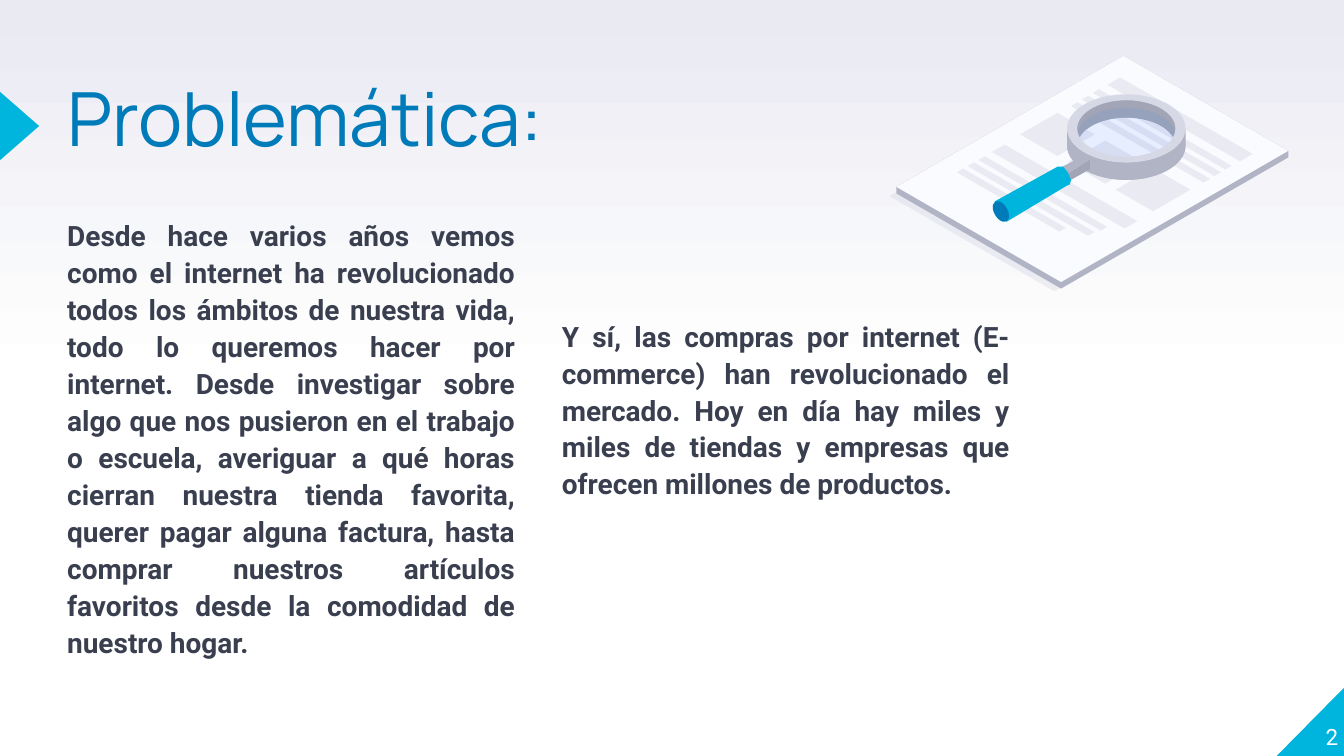
import math
from dataclasses import dataclass

from pptx import Presentation
from pptx.dml.color import RGBColor
from pptx.enum.shapes import MSO_SHAPE
from pptx.enum.text import MSO_ANCHOR, MSO_AUTO_SIZE, PP_ALIGN
from pptx.oxml import parse_xml
from pptx.oxml.ns import nsdecls, qn
from pptx.util import Pt

LEFT, RIGHT, JUSTIFY = PP_ALIGN.LEFT, PP_ALIGN.RIGHT, PP_ALIGN.JUSTIFY
TOP, BOTTOM = MSO_ANCHOR.TOP, MSO_ANCHOR.BOTTOM
OVAL, TRIANGLE, CORNER = MSO_SHAPE.OVAL, MSO_SHAPE.ISOSCELES_TRIANGLE, MSO_SHAPE.RIGHT_TRIANGLE
TITLE_ONLY = 5
ISOMETRIC_SLOPE = math.tan(math.radians(30))

Point = tuple[float, float]


@dataclass(frozen=True)
class Theme:
    title_font: str = "Manrope"
    body_font: str = "Roboto"
    title_size: float = 40
    body_size: float = 15
    number_size: float = 12
    accent: str = "00B5DD"
    deep_blue: str = "007BB9"
    ink: str = "3A3F50"
    white: str = "FFFFFF"
    mist: str = "E9EAF2"
    paper: str = "FAFBFF"
    silver: str = "D6D8E5"
    grey: str = "B1B4C4"
    dark_grey: str = "A1A5B5"
    lens: str = "3E7EFF"


@dataclass(frozen=True)
class Box:
    left: float
    top: float
    width: float
    height: float

    def lengths(self) -> tuple:
        return Pt(self.left), Pt(self.top), Pt(self.width), Pt(self.height)


@dataclass(frozen=True)
class TextStyle:
    font: str
    size: float
    color: str
    bold: bool = False
    alignment: int = LEFT
    anchor: int = TOP
    line_spacing: float = 1.0
    space_before: float = 0


@dataclass(frozen=True)
class Tile:
    """Isometric rectangle that starts at its left corner."""
    x: float
    y: float
    across: float
    along: float

    def corners(self) -> list[Point]:
        rise, drop = self.across * ISOMETRIC_SLOPE, self.along * ISOMETRIC_SLOPE
        return [(self.x, self.y), (self.x + self.across, self.y - rise),
                (self.x + self.across + self.along, self.y - rise + drop),
                (self.x + self.along, self.y + drop)]


THEME = Theme()


def paint(shape, color: str, opacity: int = 100) -> None:
    shape.shadow.inherit = False
    shape.line.fill.background()
    shape.fill.solid()
    shape.fill.fore_color.rgb = RGBColor.from_string(color)
    if opacity < 100:
        color_node = shape.element.spPr.find(".//" + qn("a:srgbClr"))
        color_node.append(parse_xml(f'<a:alpha {nsdecls("a")} val="{opacity * 1000}"/>'))


def add_preset(shapes, kind, box: Box, color: str, opacity: int = 100, rotation: float = 0):
    shape = shapes.add_shape(kind, *box.lengths())
    shape.rotation = rotation
    paint(shape, color, opacity)
    return shape


def add_outline(shapes, color: str, *contours: list[Point], opacity: int = 100) -> None:
    """Fill closed contours; a second contour cuts a hole."""
    scaled = [[(x * 100, y * 100) for x, y in contour] for contour in contours]
    builder = shapes.build_freeform(*scaled[0][0], scale=Pt(1) / 100)
    for index, contour in enumerate(scaled):
        if index:
            builder.move_to(*contour[0])
        builder.add_line_segments(contour[1:], close=True)
    paint(builder.convert_to_shape(), color, opacity)


def arc(center: Point, radii: Point, start: int, end: int) -> list[Point]:
    """Points on an ellipse; angles run clockwise from the right."""
    step = 6 if end > start else -6
    angles = [math.radians(angle) for angle in range(start, end + step, step)]
    return [(center[0] + radii[0] * math.cos(angle), center[1] + radii[1] * math.sin(angle))
            for angle in angles]


def write_text(shape, box: Box, text: str, style: TextStyle) -> None:
    shape.left, shape.top, shape.width, shape.height = box.lengths()
    frame = shape.text_frame
    frame.text = text
    frame.word_wrap = True
    frame.auto_size = MSO_AUTO_SIZE.NONE
    frame.vertical_anchor = style.anchor
    frame.margin_left = frame.margin_top = frame.margin_right = frame.margin_bottom = 0
    paragraph = frame.paragraphs[0]
    paragraph.alignment = style.alignment
    paragraph.line_spacing = style.line_spacing
    paragraph.space_before = Pt(style.space_before)
    font = paragraph.runs[0].font
    font.name, font.size, font.bold = style.font, Pt(style.size), style.bold
    font.color.rgb = RGBColor.from_string(style.color)


def add_text(shapes, box: Box, text: str, style: TextStyle) -> None:
    write_text(shapes.add_textbox(*box.lengths()), box, text, style)


def draw_document(shapes) -> None:
    # Shadow, paper edge and sheet
    sheet = Tile(480.2, 100.1, 121.7, 88.3)
    shadow = Tile(476.6, 105.1, sheet.across, sheet.along)
    add_outline(shapes, THEME.silver, shadow.corners(), opacity=40)
    left, top, right, bottom = sheet.corners()
    lowered = [(x, y + 3.5) for x, y in (right, bottom, left)]
    add_outline(shapes, THEME.grey, [left, top, right, *lowered])
    add_outline(shapes, THEME.paper, sheet.corners())

    # Headings, text lines and picture blocks
    tiles = [Tile(593.3, 45.4, 6.8, 71)]
    tiles += [Tile(585.4 - 5.8 * row, 49.8 + 3.5 * row, 3.4, 71) for row in range(3)]
    tiles.append(Tile(531.4, 81.4, 6.8, 71))
    tiles += [Tile(524.2 - 5.8 * row, 85.7 + 3.3 * row, 3.4, length)
              for row, length in enumerate((65.5, 64.5, 55))]
    tiles += [Tile(546.5 + 25.6 * column, 72 + 14.8 * column, 20, 20) for column in range(3)]
    for tile in tiles:
        add_outline(shapes, THEME.mist, tile.corners())


def draw_magnifier(shapes) -> None:
    # Ring, inner and outer walls, lens
    upper, lower = (603.4, 68.8), (603.4, 78.1)
    outer, middle, inner = (31.7, 18.3), (29, 16.7), (26.3, 15.1)

    def add_ring(center: Point, color: str) -> None:
        add_outline(shapes, color, arc(center, outer, 0, 354), arc(center, inner, 0, 354))

    add_ring(lower, THEME.grey)
    add_outline(shapes, THEME.dark_grey, arc(upper, middle, 180, 360) + arc(lower, inner, 360, 180))
    add_preset(shapes, OVAL, Box(577.1, 57.8, 52.6, 30.2), THEME.lens, opacity=10)
    add_outline(shapes, THEME.grey, arc(lower, outer, 0, 180) + arc(upper, outer, 180, 174)
                + arc(upper, middle, 174, 6) + arc(upper, outer, 6, 0))
    add_ring(upper, THEME.silver)

    # Neck, grip and end cap
    add_outline(shapes, THEME.grey, [(583.9, 85.7), (571, 93.6), (566.6, 90.7), (580.3, 83.5)])
    add_outline(shapes, THEME.dark_grey, [(583.9, 90.7), (571, 97.9), (571, 93.6), (583.9, 85.7)])
    add_outline(shapes, THEME.accent, [
        (566.6, 89.3), (569.5, 89.3), (572, 92.2), (573.8, 96.5), (573.1, 98.9), (571.7, 99.4),
        (539.3, 118.8), (532.8, 108)])
    add_preset(shapes, OVAL, Box(532.6, 107.2, 7.2, 12.2), THEME.deep_blue, rotation=330)


def main() -> None:
    presentation = Presentation()
    presentation.slide_width, presentation.slide_height = Pt(720), Pt(405)
    slide = presentation.slides.add_slide(presentation.slide_layouts[TITLE_ONLY])
    shapes = slide.shapes

    # Background fades to white at mid height
    background = slide.background.fill
    background.gradient()
    background.gradient_angle = 90
    for stop, position, color in zip(background.gradient_stops, (0.5, 1), (THEME.white, THEME.mist)):
        stop.position = position
        stop.color.rgb = RGBColor.from_string(color)

    # Corner and title marker
    corner = add_preset(shapes, CORNER, Box(684, 368, 36.5, 37), THEME.accent)
    corner.element.spPr.find(qn("a:xfrm")).set("flipH", "1")
    add_preset(shapes, TRIANGLE, Box(-7.9, 57, 36.7, 21), THEME.accent, rotation=90)

    # Title, two columns and page number
    title_style = TextStyle(THEME.title_font, THEME.title_size, THEME.deep_blue, line_spacing=0.8)
    body_style = TextStyle(THEME.body_font, THEME.body_size, THEME.ink, bold=True,
                           alignment=JUSTIFY, line_spacing=1.1, space_before=6)
    number_style = TextStyle(THEME.body_font, THEME.number_size, THEME.white,
                             alignment=RIGHT, anchor=BOTTOM)
    write_text(shapes.title, Box(36, 47.5, 444, 59), "Problemática:", title_style)
    add_text(shapes, Box(301, 169.2, 240, 113.8),
             "Y sí, las compras por internet (E-commerce) han revolucionado el mercado. Hoy en día "
             "hay miles y miles de tiendas y empresas que ofrecen millones de productos.", body_style)
    add_text(shapes, Box(36, 115.5, 240, 167.8),
             "Desde hace varios años vemos como el internet ha revolucionado todos los ámbitos de "
             "nuestra vida, todo lo queremos hacer por internet. Desde investigar sobre algo que nos "
             "pusieron en el trabajo o escuela, averiguar a qué horas cierran nuestra tienda favorita, "
             "querer pagar alguna factura, hasta comprar nuestros artículos favoritos desde la "
             "comodidad de nuestro hogar.", body_style)
    add_text(shapes, Box(681, 365, 36, 36.7), "2", number_style)

    # Illustration
    illustration = shapes.add_group_shape().shapes
    draw_document(illustration)
    draw_magnifier(illustration)

    presentation.save("out.pptx")


if __name__ == "__main__":
    main()
